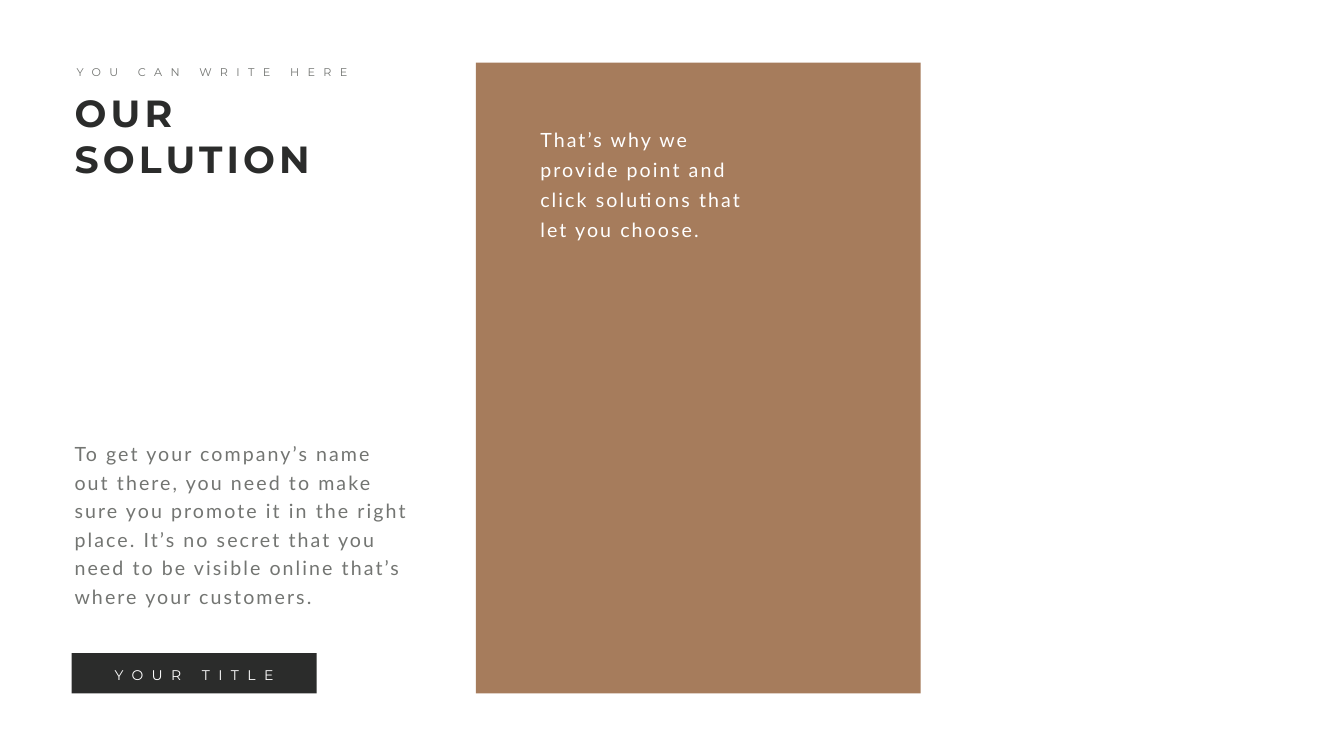
from dataclasses import dataclass

from pptx import Presentation
from pptx.dml.color import RGBColor
from pptx.enum.shapes import MSO_SHAPE
from pptx.enum.text import MSO_AUTO_SIZE, PP_ALIGN
from pptx.slide import Slide
from pptx.util import Emu, Pt

SCALE = 9144  # EMU per px, 100 px to the inch
WHITE, BROWN, DARK, GREY = "FFFFFF", "A67C5C", "2B2C2B", "737572"


@dataclass
class Box:
    left: int
    top: int
    width: int
    height: int

    def emu(self) -> list[Emu]:
        return [Emu(v * SCALE) for v in (self.left, self.top, self.width, self.height)]


@dataclass
class Panel:
    box: Box
    fill: str


@dataclass
class Label:
    box: Box
    text: str
    font: str
    size: int
    color: str
    track: int  # letter spacing in points
    bold: bool = False
    wrap: bool = True
    lead: float | None = None  # line spacing in points
    align: PP_ALIGN = PP_ALIGN.LEFT


PANELS = [
    Panel(Box(944, 124, 882, 1252), BROWN),
    Panel(Box(142, 1296, 486, 80), DARK),
]
LABELS = [
    Label(Box(1062, 235, 457, 246),
          "That’s why we provide point and click solutions that let you choose.",
          "Lato", 28, WHITE, 3, lead=43),
    Label(Box(138, 862, 689, 349),
          "To get your company’s name out there, you need to make sure you "
          "promote it in the right place. It’s no secret that you need to be "
          "visible online that’s where your customers.",
          "Lato", 28, GREY, 3, lead=40.8),
    Label(Box(138, 174, 652, 192), "OUR SOLUTION", "Montserrat", 54, DARK, 6, bold=True),
    Label(Box(142, 124, 578, 37), "YOU CAN WRITE HERE", "Montserrat", 16, GREY, 12,
          wrap=False),
    Label(Box(207, 1318, 356, 44), "YOUR TITLE", "Montserrat", 20, WHITE, 12,
          wrap=False, align=PP_ALIGN.CENTER),
]


def paint(code: str) -> RGBColor:
    """Turn a hex string into a colour."""
    return RGBColor.from_string(code)


def apply(target: object, values: dict[str, object]) -> None:
    """Set each named attribute on the target."""
    for name, value in values.items():
        setattr(target, name, value)


def draw_panel(slide: Slide, panel: Panel) -> None:
    shape = slide.shapes.add_shape(MSO_SHAPE.RECTANGLE, *panel.box.emu())
    shape.shadow.inherit = False
    shape.fill.solid()
    shape.fill.fore_color.rgb = paint(panel.fill)
    shape.line.fill.background()


def draw_label(slide: Slide, label: Label) -> None:
    frame = slide.shapes.add_textbox(*label.box.emu()).text_frame
    apply(frame, {"word_wrap": label.wrap,
                  "auto_size": MSO_AUTO_SIZE.SHAPE_TO_FIT_TEXT})
    para = frame.paragraphs[0]
    para.alignment = label.align
    if label.lead:
        para.line_spacing = Pt(label.lead)
    run = para.add_run()
    run.text = label.text
    apply(run.font, {"name": label.font, "size": Pt(label.size), "bold": label.bold})
    run.font.color.rgb = paint(label.color)
    run._r.get_or_add_rPr().set("spc", str(label.track * 100))


def main() -> None:
    deck = Presentation()
    apply(deck, {"slide_width": Emu(2666 * SCALE), "slide_height": Emu(1500 * SCALE)})
    slide = deck.slides.add_slide(deck.slide_layouts[6])
    for panel in PANELS:
        draw_panel(slide, panel)
    for label in LABELS:
        draw_label(slide, label)
    deck.save("out.pptx")


if __name__ == "__main__":
    main()
